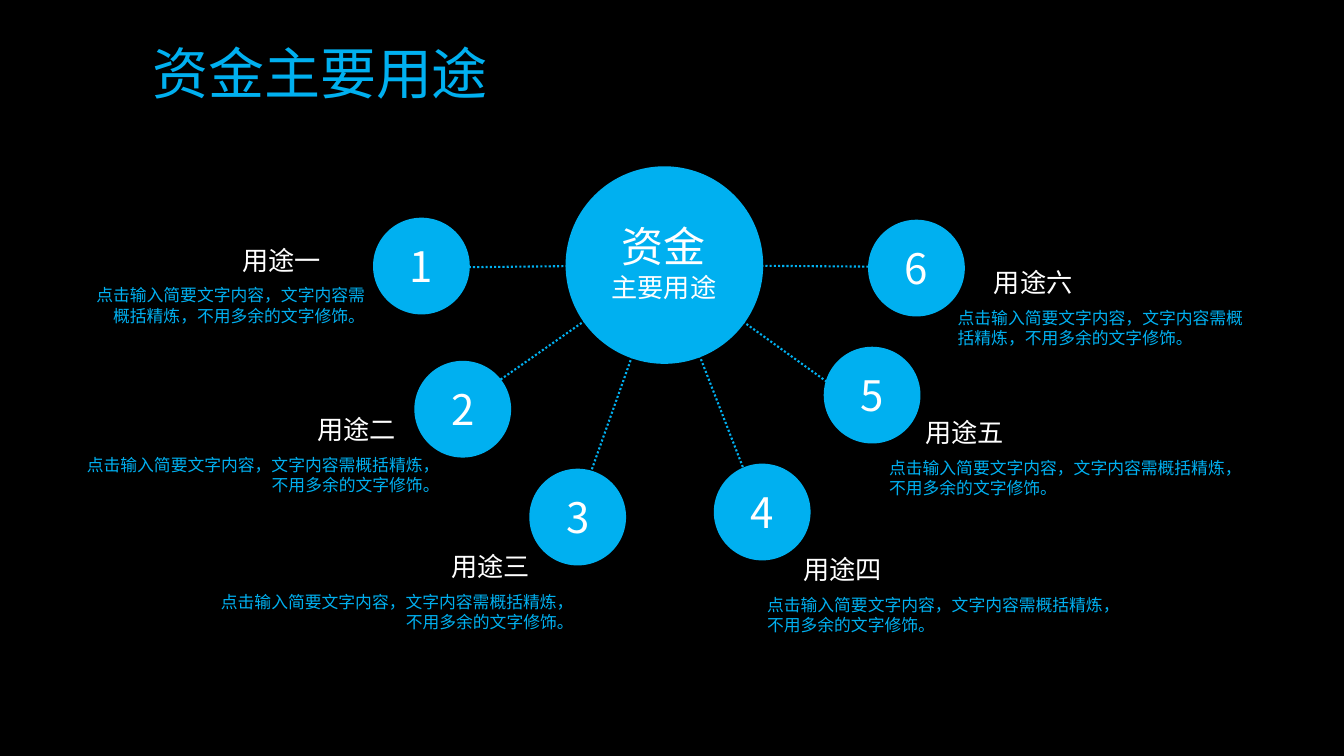
import pptx
import pptx.dml.color
import pptx.enum.dml
import pptx.enum.shapes
import pptx.enum.text
import pptx.oxml.ns
import pptx.util
from lxml import etree

PX = 9144  # EMU per px, 100 px to the inch
BLUE = pptx.dml.color.RGBColor(0x00, 0xB0, 0xF0)
WHITE = pptx.dml.color.RGBColor(0xFF, 0xFF, 0xFF)
BLACK = pptx.dml.color.RGBColor(0x00, 0x00, 0x00)
ALIGN = pptx.enum.text.PP_ALIGN
DETAIL = "点击输入简要文字内容，文字内容需概括精炼，不用多余的文字修饰。"
HUB_CENTER = (659, 263)
LABEL_WIDTH, LABEL_HEIGHT = 99, 42
DETAIL_DROP, DETAIL_HEIGHT = 41, 50
LEFT_OVERHANG, RIGHT_OVERHANG = 43, 36

# number, label, line end, circle corner, label corner, detail width
USES = [
    ("1", "用途一", (380, 266), (370, 216), (230, 237), 299),
    ("2", "用途二", (440, 416), (411, 358), (304, 405), 373),
    ("3", "用途三", (567, 522), (525, 465), (437, 541), 373),
    ("4", "用途四", (756, 513), (708, 460), (787, 544), 373),
    ("5", "用途五", (872, 416), (817, 344), (908, 408), 373),
    ("6", "用途六", (930, 265), (861, 218), (976, 259), 304),
]


def px(*lengths):
    return [pptx.util.Emu(length * PX) for length in lengths]


class Deck:
    """Holds the font and the slide being drawn."""

    def __init__(self, slide, font_name):
        self.slide = slide
        self.font_name = font_name

    def fill_text(self, text_frame, lines, align, color):
        """Fill a frame with one paragraph per (text, size) pair."""
        for index, (text, size) in enumerate(lines):
            paragraph = text_frame.paragraphs[0] if index == 0 else text_frame.add_paragraph()
            paragraph.alignment = align
            run = paragraph.add_run()
            run.text = text
            style = {"name": self.font_name, "size": pptx.util.Pt(size)}
            for name, value in style.items():
                setattr(run.font, name, value)
            run.font.color.rgb = color
            east_asian = etree.SubElement(run.font._element, pptx.oxml.ns.qn("a:ea"))
            east_asian.set("typeface", self.font_name)

    def text(self, box, lines, color, align=ALIGN.LEFT, wrap=True, inset=None):
        text_frame = self.slide.shapes.add_textbox(*px(*box)).text_frame
        text_frame.word_wrap = wrap
        text_frame.auto_size = pptx.enum.text.MSO_AUTO_SIZE.SHAPE_TO_FIT_TEXT
        if inset is not None:
            for side in ("left", "top", "right", "bottom"):
                setattr(text_frame, f"margin_{side}", px(inset)[0])
        self.fill_text(text_frame, lines, align, color)

    def circle(self, left, top, diameter, lines=()):
        shape = self.slide.shapes.add_shape(
            pptx.enum.shapes.MSO_SHAPE.OVAL, *px(left, top, diameter, diameter))
        shape.shadow.inherit = False
        shape.fill.solid()
        shape.fill.fore_color.rgb = BLUE
        shape.line.fill.background()
        shape.text_frame.vertical_anchor = pptx.enum.text.MSO_ANCHOR.MIDDLE
        self.fill_text(shape.text_frame, lines, ALIGN.CENTER, WHITE)

    def dotted_line(self, start, end):
        connector = self.slide.shapes.add_connector(
            pptx.enum.shapes.MSO_CONNECTOR.STRAIGHT, *px(*start, *end))
        connector.line.color.rgb = BLUE
        connector.line.width = pptx.util.Pt(1.5)
        connector.line.dash_style = pptx.enum.dml.MSO_LINE.ROUND_DOT
        etree.SubElement(connector._element.spPr, pptx.oxml.ns.qn("a:effectLst"))

    def use_text(self, label, corner, detail_width):
        """Place a label and its detail, which reaches past the label toward the hub."""
        left, top = corner
        on_left = left < HUB_CENTER[0]
        if on_left:
            detail_left = left + LABEL_WIDTH + LEFT_OVERHANG - detail_width
        else:
            detail_left = left - RIGHT_OVERHANG
        self.text((left, top, LABEL_WIDTH, LABEL_HEIGHT), [(label, 18.7)], WHITE,
                  ALIGN.CENTER if on_left else ALIGN.LEFT, wrap=False)
        self.text((detail_left, top + DETAIL_DROP, detail_width, DETAIL_HEIGHT),
                  [(DETAIL, 12)], BLUE, ALIGN.RIGHT if on_left else ALIGN.LEFT)


def main():
    presentation = pptx.Presentation()
    presentation.slide_width, presentation.slide_height = px(1333, 750)
    slide = presentation.slides.add_slide(presentation.slide_layouts[6])
    slide.background.fill.solid()
    slide.background.fill.fore_color.rgb = BLACK
    deck = Deck(slide, "Noto Sans CJK SC")

    deck.text((151, 38, 383, 67), [("资金主要用途", 40)], BLUE, inset=0)
    for _, _, line_end, _, _, _ in USES:
        deck.dotted_line(HUB_CENTER, line_end)
    for number, label, _, circle_corner, label_corner, detail_width in USES:
        deck.circle(*circle_corner, 96, [(number, 30)])
        deck.use_text(label, label_corner, detail_width)
    deck.circle(561, 165, 196)
    deck.text((596, 214, 125, 92), [("资金", 30), ("主要用途", 18.7)], WHITE,
              ALIGN.CENTER, wrap=False)

    presentation.save("out.pptx")


if __name__ == "__main__":
    main()
